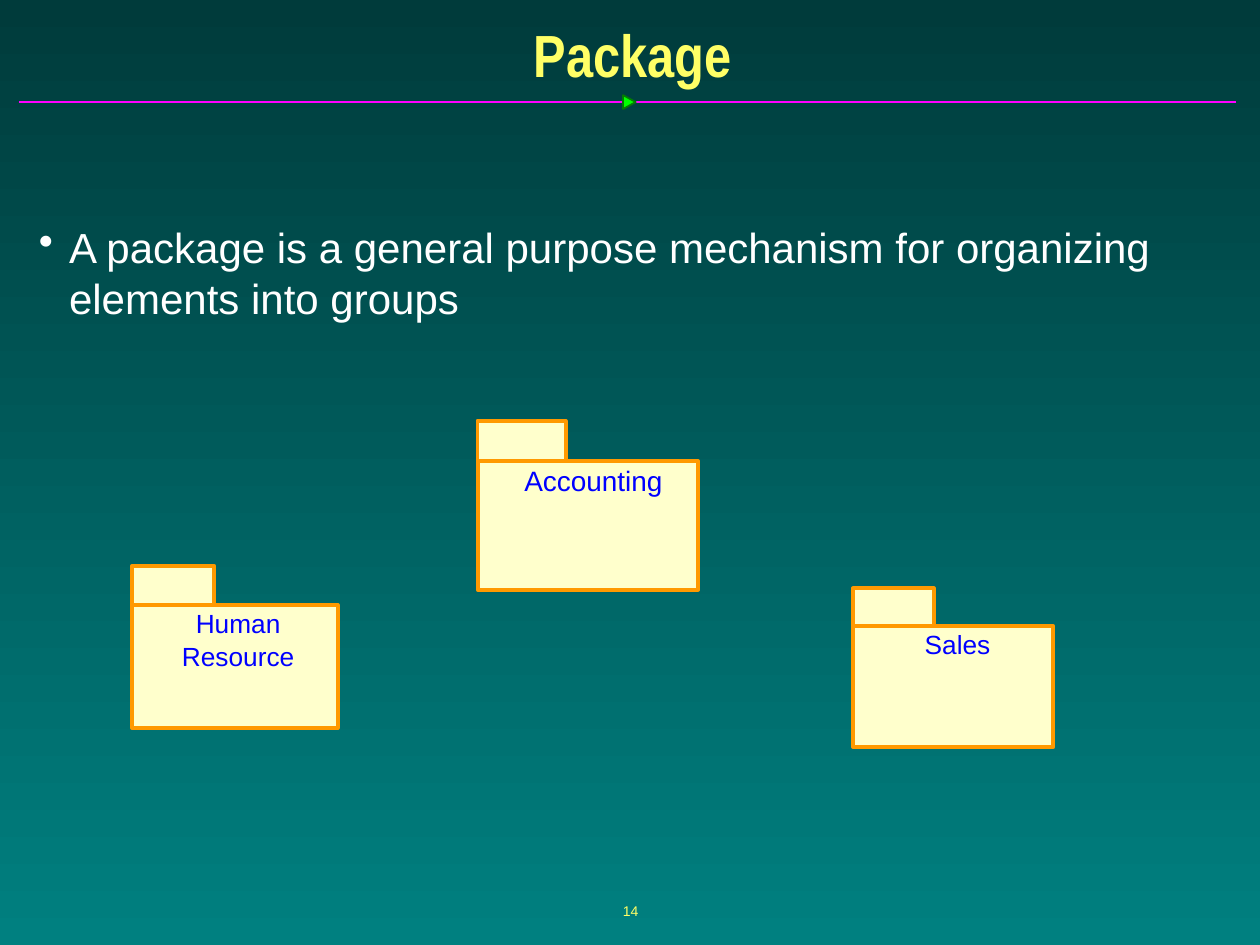
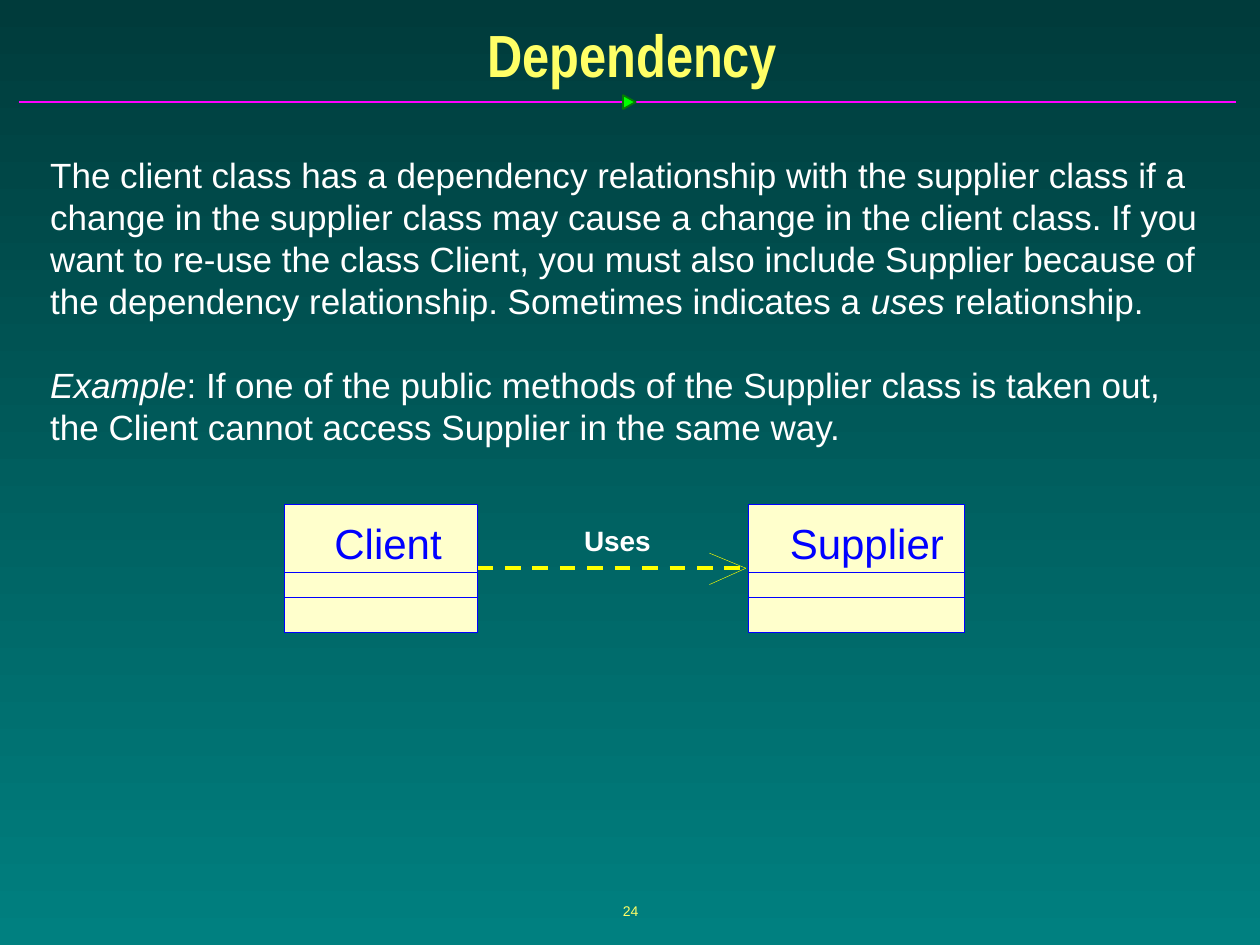
from pptx import Presentation
from pptx.dml.color import RGBColor
from pptx.enum.dml import MSO_LINE
from pptx.enum.shapes import MSO_CONNECTOR, MSO_SHAPE
from pptx.enum.text import MSO_ANCHOR, PP_ALIGN
from pptx.oxml.xmlchemy import OxmlElement
from pptx.util import Inches, Pt

DARK_TEAL = RGBColor(0x00, 0x3B, 0x3B)
TEAL = RGBColor(0x00, 0x80, 0x80)
PALE_YELLOW = RGBColor(0xFF, 0xFF, 0x66)
YELLOW = RGBColor(0xFF, 0xFF, 0x00)
CREAM = RGBColor(0xFF, 0xFF, 0xCC)
ORANGE = RGBColor(0xFF, 0x99, 0x00)
BLUE = RGBColor(0x00, 0x00, 0xFF)
WHITE = RGBColor(0xFF, 0xFF, 0xFF)
MAGENTA = RGBColor(0xFF, 0x01, 0xFF)
GREEN = RGBColor(0x00, 0xFF, 0x00)
DARK_GREEN = RGBColor(0x03, 0x7C, 0x03)
HAIRLINE = 0.25


def add_text(slide, text, left, top, width, height, size, color, font="Arial",
             bold=False, align=PP_ALIGN.CENTER, anchor=MSO_ANCHOR.TOP,
             inset=True, bullet=False, gap=0):
    """Newlines separate paragraphs; underscores enclose italic words."""
    box = slide.shapes.add_textbox(Inches(left), Inches(top), Inches(width), Inches(height))
    frame = box.text_frame
    frame.word_wrap = True
    frame.vertical_anchor = anchor
    if not inset:
        frame.margin_left = frame.margin_right = frame.margin_top = frame.margin_bottom = 0
    for index, line in enumerate(text.split("\n")):
        paragraph = frame.add_paragraph() if index else frame.paragraphs[0]
        paragraph.alignment = align
        if index and gap:
            paragraph.space_before = Pt(gap)
        if bullet:
            properties = paragraph._p.get_or_add_pPr()
            properties.set("marL", str(Inches(0.24)))
            properties.set("indent", str(-Inches(0.24)))
            mark = OxmlElement("a:buChar")
            mark.set("char", "•")
            properties.append(mark)
        for part, words in enumerate(line.split("_")):
            if words:
                run = paragraph.add_run()
                run.text = words
                run.font.name = font
                run.font.size = Pt(size)
                run.font.bold = bold
                run.font.italic = part % 2 == 1
                run.font.color.rgb = color


def style(shape, line_color, weight, fill=None):
    """Set the outline and fill of a shape or connector, without a shadow."""
    if fill is not None:
        shape.fill.solid()
        shape.fill.fore_color.rgb = fill
    shape.line.color.rgb = line_color
    shape.line.width = Pt(weight)
    shape._element.spPr.append(OxmlElement("a:effectLst"))


presentation = Presentation()
presentation.slide_width = Inches(10)
presentation.slide_height = Inches(7.5)

# Background, title, rule and page number of every slide
slides = []
for title, number in (("Package", "14"), ("Dependency", "24")):
    slide = presentation.slides.add_slide(presentation.slide_layouts[6])
    slides.append(slide)
    background = slide.background.fill
    background.gradient()
    background.gradient_angle = 270
    for stop, color, position in zip(background.gradient_stops, (DARK_TEAL, TEAL), (0, 1)):
        stop.color.rgb = color
        stop.position = position
    rule = slide.shapes.add_connector(
        MSO_CONNECTOR.STRAIGHT, Inches(0.15), Inches(0.81), Inches(9.81), Inches(0.81))
    style(rule, MAGENTA, 1)
    marker = slide.shapes.add_shape(
        MSO_SHAPE.ISOSCELES_TRIANGLE, Inches(4.94), Inches(0.76), Inches(0.11), Inches(0.1))
    marker.rotation = 90
    style(marker, DARK_GREEN, 1, GREEN)
    add_text(slide, number, 3.42, 6.98, 3.17, 0.5, 8, PALE_YELLOW, anchor=MSO_ANCHOR.MIDDLE)
    add_text(slide, title, 0.1, 0.14, 9.84, 0.58, 34, PALE_YELLOW,
             font="Arial Narrow", bold=True, anchor=MSO_ANCHOR.MIDDLE)

package_slide, dependency_slide = slides

# Package: three folders, each a body with a tab on top
add_text(package_slide,
         "A package is a general purpose mechanism for organizing elements into groups",
         0.21, 1.71, 9.42, 0.9, 24, WHITE, align=PP_ALIGN.LEFT, bullet=True)
packages = (
    # name, left, top, width, height, tab width, tab height, label left, label width, size
    ("Accounting", 3.79, 3.66, 1.75, 1.02, 0.7, 0.32, 4.01, 1.4, 16),
    ("Human\nResource", 1.05, 4.8, 1.63, 0.98, 0.65, 0.31, 1.29, 1.2, 15),
    ("Sales", 6.77, 4.97, 1.59, 0.96, 0.64, 0.3, 7.1, 1, 15),
)
for (name, left, top, width, height, tab_width, tab_height,
     label_left, label_width, size) in packages:
    for part_top, part_width, part_height in (
            (top, width, height), (top - tab_height, tab_width, tab_height)):
        part = package_slide.shapes.add_shape(
            MSO_SHAPE.RECTANGLE, Inches(left), Inches(part_top),
            Inches(part_width), Inches(part_height))
        style(part, ORANGE, 2.25, CREAM)
    add_text(package_slide, name, label_left, top + 0.02, label_width, 0.27, size, BLUE,
             inset=False, gap=1)

# Dependency: two classes with compartments, joined by a dashed arrow
classes = []
for name, left, width, label_left, label_width in (
        ("Client", 2.26, 1.53, 2.48, 1.2), ("Supplier", 5.94, 1.71, 6.13, 1.5)):
    compartments = []
    for top in (4, 4.54, 4.74):
        compartment = dependency_slide.shapes.add_shape(
            MSO_SHAPE.RECTANGLE, Inches(left), Inches(top), Inches(width), Inches(5.02 - top))
        style(compartment, BLUE, HAIRLINE, CREAM)
        compartments.append(compartment)
    classes.append(compartments[0])
    add_text(dependency_slide, name, label_left, 4.11, label_width, 0.4, 24, BLUE,
             inset=False)

client, supplier = classes
dependency = dependency_slide.shapes.add_connector(MSO_CONNECTOR.STRAIGHT, 0, 0, 0, 0)
dependency.begin_connect(client, 3)
dependency.end_connect(supplier, 1)
style(dependency, YELLOW, 2.25)
dependency.line.dash_style = MSO_LINE.DASH
for barb_end in (4.64, 4.39):
    barb = dependency_slide.shapes.add_connector(
        MSO_CONNECTOR.STRAIGHT, Inches(5.92), Inches(4.51), Inches(5.63), Inches(barb_end))
    style(barb, YELLOW, HAIRLINE)

add_text(dependency_slide,
         "The client class has a dependency relationship with the supplier class if a change "
         "in the supplier class may cause a change in the client class. If you want to re-use "
         "the class Client, you must also include Supplier because of the dependency "
         "relationship. Sometimes indicates a _uses_ relationship.\n"
         "_Example_: If one of the public methods of the Supplier class is taken out, "
         "the Client cannot access Supplier in the same way.",
         0.3, 1.17, 9.38, 2.44, 20, WHITE, align=PP_ALIGN.LEFT, gap=24)
add_text(dependency_slide, "Uses", 3.96, 4.11, 1.88, 0.37, 16, WHITE, bold=True)

presentation.save("out.pptx")
